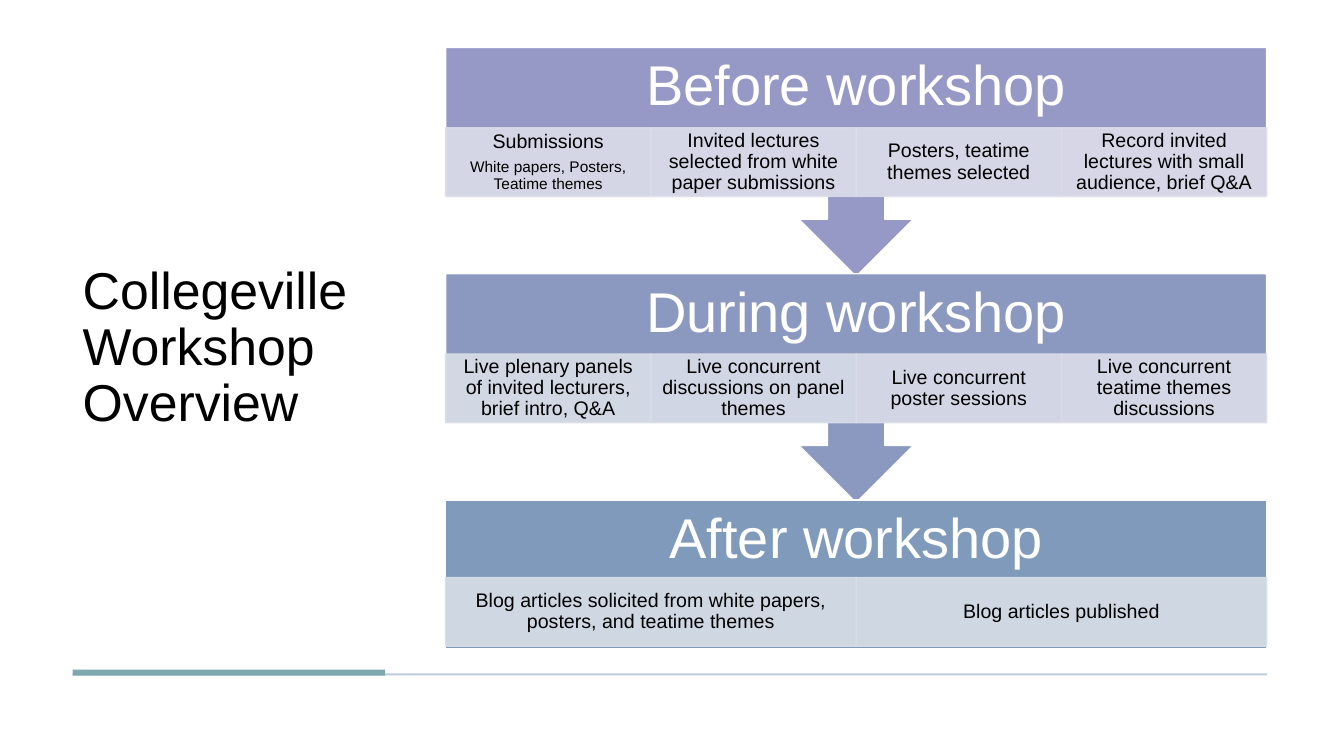
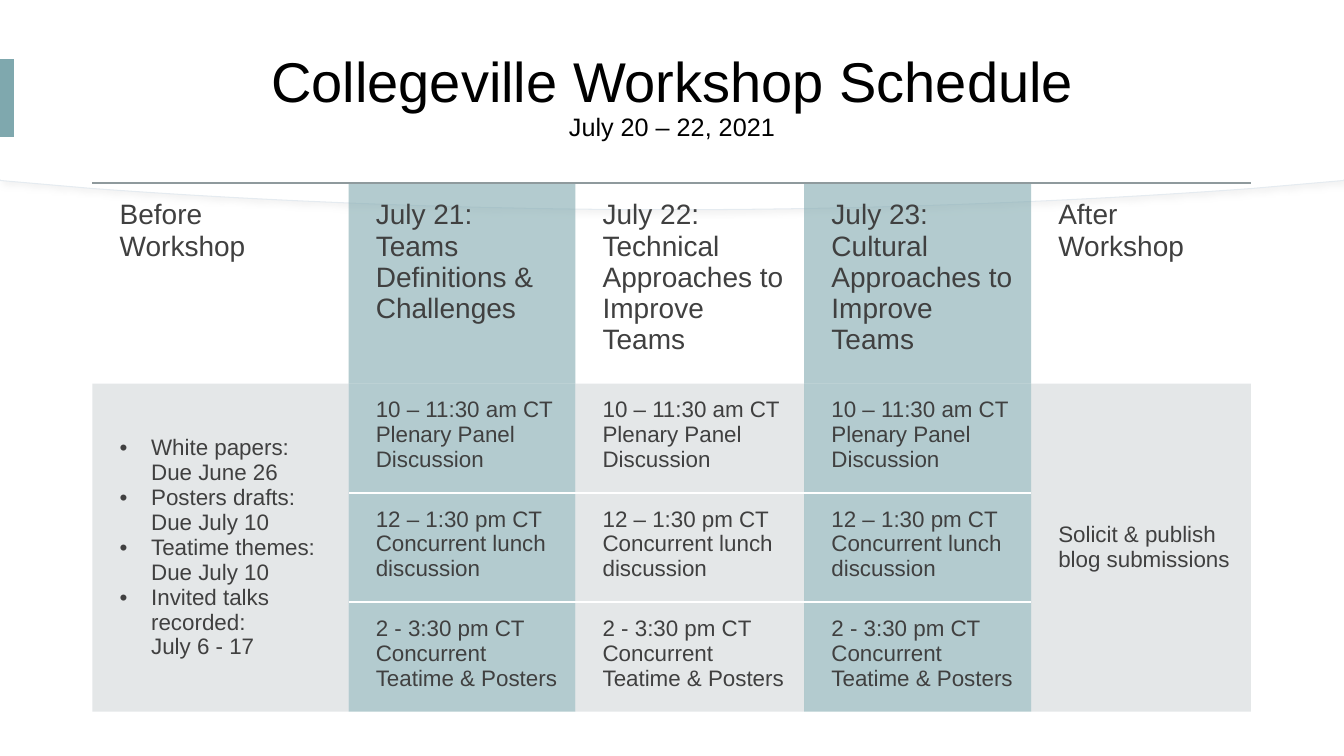
from itertools import accumulate

from lxml.etree import SubElement
from pptx import Presentation
from pptx.dml.color import RGBColor
from pptx.enum.shapes import MSO_SHAPE
from pptx.enum.text import MSO_ANCHOR, PP_ALIGN
from pptx.oxml.ns import qn
from pptx.util import Pt

FONT = "Arial"
SLIDE_W, SLIDE_H = 960, 540
COLOURS = {
    "white": "FFFFFF", "black": "000000", "text": "404040",
    "teal": "7FA8AE", "rule": "BDCCDB", "gray": "B4BCBE",
    "table_rule": "8F9A9D", "edge": "E5EBF0", "shadow": "D9D9D9",
}
TITLE = {"anchor": MSO_ANCHOR.MIDDLE, "spacing": 0.9, "colour": COLOURS["black"]}
CENTRED = {**TITLE, "align": PP_ALIGN.CENTER}
PHASES = [
    {"heading": "Before workshop", "colour": "9698C6", "height": 163.5, "steps_top": 57.3,
     "tints": ["DBDDE9", "DCDDEA", "DCDDEA", "DDDDEA"],
     "steps": [[("Submissions", 14), ("White papers, Posters, Teatime themes", 11)],
               [("Invited lectures selected from white paper submissions", 14)],
               [("Posters, teatime themes selected", 14)],
               [("Record invited lectures with small audience, brief Q&A", 14)]]},
    {"heading": "During workshop", "colour": "8B98C0", "height": 163.5, "steps_top": 57.3,
     "tints": ["D9DEE7", "D9DDE8", "DADDE8", "DBDDE9"],
     "steps": [[("Live plenary panels of invited lecturers, brief intro, Q&A", 14)],
               [("Live concurrent discussions on panel themes", 14)],
               [("Live concurrent poster sessions", 14)],
               [("Live concurrent teatime themes discussions", 14)]]},
    {"heading": "After workshop", "colour": "7F9ABA", "height": 106.5, "steps_top": 55.4,
     "tints": ["D8DEE7", "D8DEE7"],
     "steps": [[("Blog articles solicited from white papers, posters, and teatime themes", 14)],
               [("Blog articles published", 14)]]},
]
COLUMN_WIDTHS = [183, 162, 163.5, 162, 157]
ROW_HEIGHTS = [134, 78.1, 78.1, 78.1]
HEADERS = ["Before Workshop", "July 21: Teams Definitions & Challenges",
           "July 22: Technical Approaches to Improve Teams",
           "July 23: Cultural Approaches to Improve Teams", "After Workshop"]
SESSIONS = ["10 – 11:30 am CT Plenary Panel Discussion",
            "12 – 1:30 pm CT Concurrent lunch discussion",
            "2 - 3:30 pm CT Concurrent Teatime & Posters"]
DEADLINES = ["White papers: Due June 26", "Posters drafts: Due July 10",
             "Teatime themes: Due July 10", "Invited talks recorded: \nJuly 6 - 17"]
FOLLOW_UP = "Solicit & publish blog submissions"
NO_STYLE_NO_GRID = "{2D5ABB26-0587-4C30-8999-92F81FD0307C}"


def apply_format(target, values):
    """Set every attribute named in values on the target."""
    for name, value in values.items():
        setattr(target, name, value)


def points(box):
    """Turn a box given in points into lengths."""
    return [Pt(length) for length in box]


def fade(properties, percent):
    """Make every colour inside the properties partly transparent."""
    for colour in properties.iter(qn("a:srgbClr")):
        SubElement(colour, qn("a:alpha"), val=str(percent * 1000))


def paint(shape, fill, line=None, width=1):
    """Give a shape a flat fill, an optional outline and no shadow."""
    shape.shadow.inherit = False
    shape.fill.solid()
    shape.fill.fore_color.rgb = RGBColor.from_string(fill)
    if line:
        shape.line.color.rgb = RGBColor.from_string(line)
        shape.line.width = Pt(width)
    else:
        shape.line.fill.background()
    return shape


def add_block(slide, box, fill, line=None, kind=MSO_SHAPE.RECTANGLE):
    """Add a painted preset shape."""
    return paint(slide.shapes.add_shape(kind, *points(box)), fill, line)


def write(frame, lines, style, margins=(7.2, 3.6)):
    """Fill a text frame with (text, size) paragraphs."""
    across, down = points(margins)
    apply_format(frame, {
        "word_wrap": True, "vertical_anchor": style["anchor"],
        "margin_left": across, "margin_right": across,
        "margin_top": down, "margin_bottom": down,
    })
    for index, (text, size) in enumerate(lines):
        paragraph = frame.add_paragraph() if index else frame.paragraphs[0]
        paragraph.text = text
        apply_format(paragraph, {
            "alignment": style.get("align", PP_ALIGN.LEFT),
            "line_spacing": style["spacing"],
            "space_before": Pt(style.get("gap", 0) if index else 0),
        })
        apply_format(paragraph.font, {"name": FONT, "size": Pt(size)})
        paragraph.font.color.rgb = RGBColor.from_string(style["colour"])


def add_text(slide, box, lines, style, margins=(7.2, 3.6)):
    """Add a text box with styled paragraphs."""
    write(slide.shapes.add_textbox(*points(box)).text_frame, lines, style, margins)


def add_phase(slide, box, phase, is_last):
    """Draw one phase: a coloured band, its heading and its row of steps."""
    left, top, width, _ = box
    kind = MSO_SHAPE.RECTANGLE if is_last else MSO_SHAPE.DOWN_ARROW_CALLOUT
    add_block(slide, box, phase["colour"], COLOURS["white"], kind)
    add_text(slide, (left, top, width, 57.3), [(phase["heading"], 40)],
             {**CENTRED, "colour": COLOURS["white"]}, (22, 0))
    step_width = width / len(phase["steps"])
    for index, (lines, tint) in enumerate(zip(phase["steps"], phase["tints"])):
        step = add_block(slide, (left + index * step_width, top + phase["steps_top"],
                                 step_width, 49), tint, tint)
        fade(step.element.spPr, 90)
        write(step.text_frame, lines, {**CENTRED, "gap": 5}, (8, 1.3))


def add_phases(slide, box):
    """Stack the phases at an equal pitch."""
    left, top, width, height = box
    last = len(PHASES) - 1
    pitch = (height - PHASES[last]["height"]) / last
    for index, phase in enumerate(PHASES):
        add_phase(slide, (left, top + index * pitch, width, phase["height"]),
                  phase, index == last)


def add_footer_rule(slide, box):
    """Draw the thin rule with its short thick accent."""
    left, top, width, height = box
    add_block(slide, (left, top + 2.6, width, 1.4), COLOURS["rule"])
    add_block(slide, (left, top, 223.2, height), COLOURS["teal"])


def curve_outline(width, depth):
    """Return the points of the curved lower edge, from right to left."""
    start, first, second, end = ((65.5, depth - 15.2), (193, depth - 5.8),
                                 (340, depth), (width / 2, depth))
    half = [(0, depth - 20.9)]
    for step in range(25):
        t = step / 24
        weights = ((1 - t) ** 3, 3 * t * (1 - t) ** 2, 3 * t * t * (1 - t), t ** 3)
        half.append(tuple(sum(w * point[axis] for w, point in
                              zip(weights, (start, first, second, end)))
                          for axis in (0, 1)))
    return [(width - x, y) for x, y in half] + half[-2::-1]


def add_curved_panel(slide, box, line=None):
    """Draw the white panel with a curved lower edge."""
    left, top, width, depth = box
    outline = [(width, 0)] + curve_outline(width, depth)
    builder = slide.shapes.build_freeform(Pt(left), Pt(top), scale=1.0)
    builder.add_line_segments([(Pt(left + x), Pt(top + y)) for x, y in outline])
    return paint(builder.convert_to_shape(), COLOURS["white"], line, 0.75)


def add_header_panel(slide, box):
    """Layer the outlined, shadowed panel and its plain cover."""
    left, top, width, depth = box
    panel = add_curved_panel(slide, box, COLOURS["edge"])
    effects = panel.element.spPr.find(qn("a:effectLst"))
    shadow = SubElement(effects, qn("a:outerShdw"), blurRad=str(Pt(4)), dist=str(Pt(3)),
                        dir="2700000", algn="tl", rotWithShape="0")
    SubElement(shadow, qn("a:srgbClr"), val=COLOURS["shadow"])
    fade(shadow, 30)
    add_curved_panel(slide, (left, top, width, depth - 0.7))


def add_border(cell, side, position, colour, percent=100):
    """Draw one border of a table cell."""
    properties = cell._tc.get_or_add_tcPr()
    border = SubElement(properties, qn("a:" + side), w=str(Pt(1.5)))
    SubElement(SubElement(border, qn("a:solidFill")), qn("a:srgbClr"), val=colour)
    fade(border, percent)
    properties.insert(position, border)


def fill_cell(cell, row, column):
    """Write, shade and border one cell of the schedule."""
    is_day = 0 < column < len(HEADERS) - 1
    if row == 0:
        lines, size, padding = [HEADERS[column]], 20, 11.5
    elif is_day:
        lines, size, padding = [SESSIONS[row - 1]], 16, 10
    else:
        lines, size, padding = (DEADLINES if column == 0 else [FOLLOW_UP]), 16, 10
    anchor = MSO_ANCHOR.TOP if row == 0 or is_day else MSO_ANCHOR.MIDDLE
    write(cell.text_frame, [(line, size) for line in lines],
          {"anchor": anchor, "spacing": 1.0, "colour": COLOURS["text"]})
    apply_format(cell, {
        "vertical_anchor": anchor, "margin_left": Pt(19.5), "margin_right": Pt(padding),
        "margin_top": Pt(padding), "margin_bottom": Pt(padding),
    })
    if column % 2 == 0 and row == 0:
        cell.fill.background()
    else:
        shade, percent = ("teal", 59) if column % 2 else ("gray", 35)
        cell.fill.solid()
        cell.fill.fore_color.rgb = RGBColor.from_string(COLOURS[shade])
        fade(cell._tc.tcPr, percent)
    if row == 0:
        add_border(cell, "lnT", 0, COLOURS["table_rule"], 60)
    elif is_day:
        sides = ["lnT"] * (row > 1) + ["lnB"] * (row < len(SESSIONS))
        for position, side in enumerate(sides):
            add_border(cell, side, position, COLOURS["white"])


def add_bullets(cell):
    """Turn the paragraphs of a cell into a bulleted list."""
    for paragraph in cell.text_frame.paragraphs:
        properties = paragraph._p.get_or_add_pPr()
        properties.set("marL", str(Pt(22.5)))
        properties.set("indent", str(-Pt(22.5)))
        SubElement(properties, qn("a:buFont"), typeface=FONT)
        SubElement(properties, qn("a:buChar"), char="•")


def add_schedule(slide, left, top):
    """Build the schedule table with merged outer columns."""
    *_, width = accumulate(COLUMN_WIDTHS)
    *_, height = accumulate(ROW_HEIGHTS)
    schedule = slide.shapes.add_table(len(ROW_HEIGHTS), len(COLUMN_WIDTHS),
                                      *points((left, top, width, height))).table
    apply_format(schedule, {"first_row": False, "horz_banding": False})
    schedule._tbl.tblPr.find(qn("a:tableStyleId")).text = NO_STYLE_NO_GRID
    for column, column_width in zip(schedule.columns, COLUMN_WIDTHS):
        column.width = Pt(column_width)
    for row, row_height in zip(schedule.rows, ROW_HEIGHTS):
        row.height = Pt(row_height)
    for column in (0, len(COLUMN_WIDTHS) - 1):
        schedule.cell(1, column).merge(schedule.cell(len(SESSIONS), column))
    for row in range(len(ROW_HEIGHTS)):
        for column in range(len(COLUMN_WIDTHS)):
            cell = schedule.cell(row, column)
            if not cell.is_spanned:
                fill_cell(cell, row, column)
    add_bullets(schedule.cell(1, 0))


def build_overview(slide):
    """Build the workshop overview slide."""
    add_text(slide, (52, 34, 223, 430), [("Collegeville Workshop Overview", 37)], TITLE)
    add_footer_rule(slide, (52, 478.4, 853, 4.3))
    add_phases(slide, (318.3, 34, 586.5, 429.6))


def build_schedule(slide):
    """Build the workshop schedule slide."""
    add_header_panel(slide, (0, 0, SLIDE_W, 149.8))
    add_text(slide, (66, 20, 828, 100),
             [("Collegeville Workshop Schedule", 40), ("July 20 – 22, 2021", 18)], CENTRED)
    add_block(slide, (0, 42.3, 10, 55.5), COLOURS["teal"])
    add_schedule(slide, 66, 131)


def main():
    """Create the presentation and save it."""
    deck = Presentation()
    apply_format(deck, {"slide_width": Pt(SLIDE_W), "slide_height": Pt(SLIDE_H)})
    for build in (build_overview, build_schedule):
        build(deck.slides.add_slide(deck.slide_layouts[6]))
    deck.save("out.pptx")


if __name__ == "__main__":
    main()
